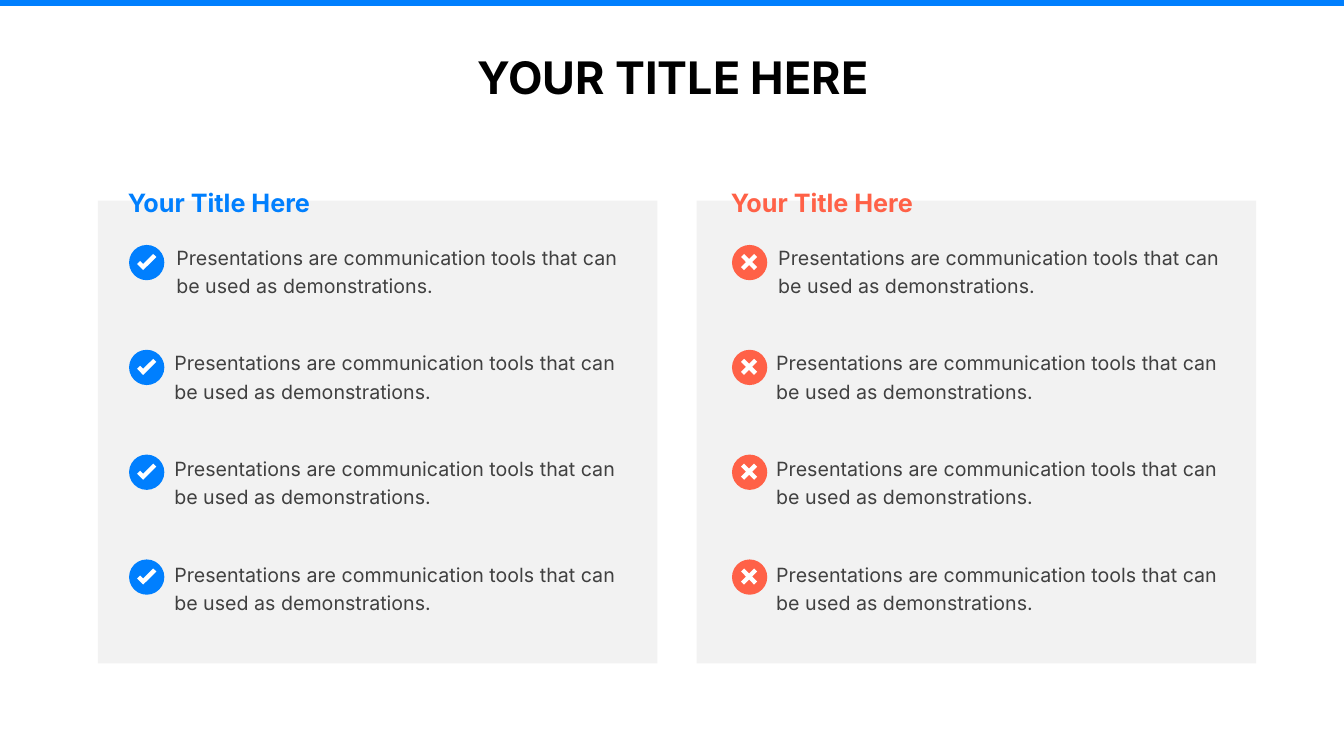
from dataclasses import dataclass

from pptx import Presentation
from pptx.dml.color import RGBColor
from pptx.enum.shapes import MSO_SHAPE
from pptx.enum.text import MSO_AUTO_SIZE, PP_ALIGN
from pptx.util import Inches, Pt

RECT = MSO_SHAPE.RECTANGLE
OVAL = MSO_SHAPE.OVAL
GROW = MSO_AUTO_SIZE.SHAPE_TO_FIT_TEXT
LEFT = PP_ALIGN.LEFT
CENTER = PP_ALIGN.CENTER


@dataclass(frozen=True)
class Theme:
    font: str = "Inter"
    black: str = "000000"
    white: str = "FFFFFF"
    blue: str = "007FFE"
    coral: str = "FF6147"
    panel: str = "F2F2F2"
    body: str = "404040"
    title_size: int = 32
    head_size: int = 18
    body_size: int = 14


class Deck:
    def __init__(self, theme, slide):
        self.theme = theme
        self.shapes = slide.shapes

    def paint(self, shape, color):
        shape.shadow.inherit = False
        shape.fill.solid()
        shape.fill.fore_color.rgb = RGBColor.from_string(color)
        shape.line.fill.background()

    def block(self, kind, left, top, width, height, color):
        shape = self.shapes.add_shape(
            kind, Inches(left), Inches(top), Inches(width), Inches(height))
        self.paint(shape, color)

    def text(self, words, left, top, width, height, size, color,
             bold=False, align=LEFT, wrap=True, spacing=None):
        box = self.shapes.add_textbox(
            Inches(left), Inches(top), Inches(width), Inches(height))
        frame = box.text_frame
        frame.word_wrap = wrap
        frame.auto_size = GROW
        line = frame.paragraphs[0]
        line.text = words
        line.alignment = align
        if spacing:
            line.line_spacing = spacing
        line.font.name = self.theme.font
        line.font.size = Pt(size)
        line.font.bold = bold
        line.font.color.rgb = RGBColor.from_string(color)

    def mark(self, points, left, top, color):
        spots = [(Inches(left + x), Inches(top + y)) for x, y in points]
        pen = self.shapes.build_freeform(*spots[0])
        pen.add_line_segments(spots[1:], close=True)
        self.paint(pen.convert_to_shape(), color)

    def badge(self, points, left, top, color):
        self.block(OVAL, left, top, 0.35, 0.35, color)
        self.mark(points, left, top, self.theme.white)


THEME = Theme()
HEAD = "Your Title Here"
BODY = "Presentations are communication tools that can be used as demonstrations."
CHECK = [(0.24, 0.09), (0.14, 0.19), (0.11, 0.16), (0.08, 0.19),
         (0.14, 0.25), (0.27, 0.12)]
CROSS = [(0.22, 0.09), (0.17, 0.14), (0.12, 0.09), (0.09, 0.12),
         (0.14, 0.17), (0.09, 0.22), (0.12, 0.25), (0.17, 0.2),
         (0.22, 0.25), (0.25, 0.22), (0.2, 0.17), (0.25, 0.12)]
COLUMNS = [
    (0.97, 1.17, 1.28, 1.63, THEME.blue, CHECK),
    (6.91, 7.15, 7.26, 7.6, THEME.coral, CROSS),
]
ROWS = 4


def main():
    show = Presentation()
    show.slide_width = Inches(13.33)
    show.slide_height = Inches(7.5)
    deck = Deck(THEME, show.slides.add_slide(show.slide_layouts[6]))

    deck.text("YOUR TITLE HERE", 3.82, 0.44, 5.71, 0.64,
              THEME.title_size, THEME.black, bold=True, align=CENTER)
    deck.block(RECT, 0, 0, 13.33, 0.06, THEME.blue)

    for panel_x, head_x, badge_x, body_x, color, points in COLUMNS:
        deck.block(RECT, panel_x, 1.99, 5.55, 4.59, THEME.panel)
        deck.text(HEAD, head_x, 1.81, 2.1, 0.4,
                  THEME.head_size, color, bold=True, wrap=False)
        for row in range(ROWS):
            indent = 0.02 if row == 0 else 0
            deck.text(BODY, body_x + indent, 2.34 + 1.05 * row, 4.59, 0.66,
                      THEME.body_size, THEME.body, spacing=1.2)
            deck.badge(points, badge_x, 2.43 + 1.04 * row, color)

    show.save("out.pptx")


if __name__ == "__main__":
    main()
